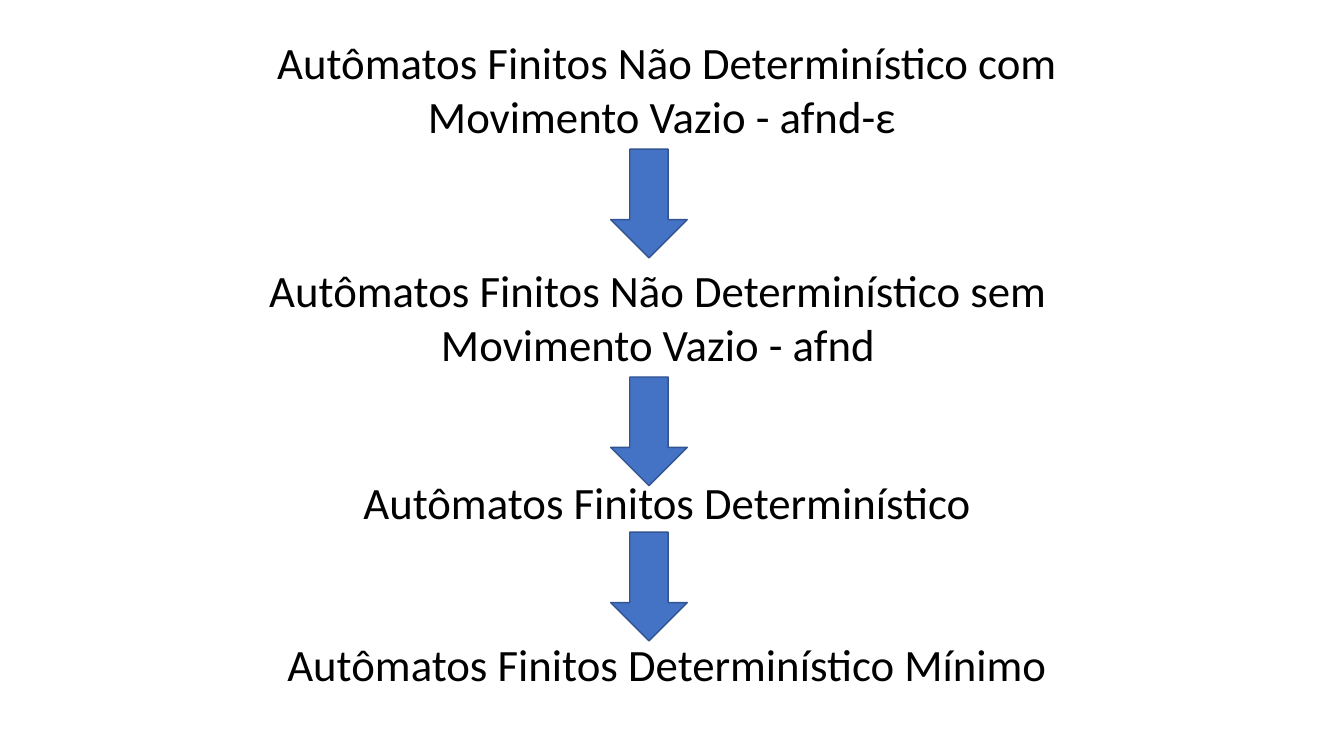
"""Build a slide showing the steps from an afnd-ε to a minimal automaton."""
from pptx import Presentation
from pptx.dml.color import RGBColor
from pptx.enum.shapes import MSO_SHAPE
from pptx.enum.text import MSO_AUTO_SIZE, PP_ALIGN
from pptx.util import Cm, Pt

DOWN_ARROW = MSO_SHAPE.DOWN_ARROW
CENTER = PP_ALIGN.CENTER
GROW = MSO_AUTO_SIZE.SHAPE_TO_FIT_TEXT

COLORS = {"text": "000000", "arrow": "4472C4", "outline": "325491"}
FONT = {"name": "Calibri", "size": Pt(32)}
FRAME = {"word_wrap": True, "auto_size": GROW}

LABEL_LEFT, LABEL_WIDTH = 6.35, 20.93
ONE_LINE, TWO_LINES = 1.63, 2.99
ARROW_LEFT, ARROW_WIDTH, ARROW_HEIGHT = 15.39, 1.93, 2.74

STAGES = [
    ("Autômatos Finitos Não Determinístico com Movimento Vazio - afnd-ε ",
     LABEL_LEFT, 0.76, TWO_LINES),
    ("Autômatos Finitos Não Determinístico sem Movimento Vazio - afnd",
     6.12, 6.5, TWO_LINES),
    ("Autômatos Finitos Determinístico", LABEL_LEFT, 11.84, ONE_LINE),
    ("Autômatos Finitos Determinístico Mínimo", LABEL_LEFT, 15.93, ONE_LINE),
]
ARROW_TOPS = [3.76, 9.5, 13.41]


def apply_format(target, values):
    for name, value in values.items():
        setattr(target, name, value)


class SlideBuilder:
    def __init__(self, slide):
        self.slide = slide
        self.colors = {name: RGBColor.from_string(value)
                       for name, value in COLORS.items()}

    def add_label(self, text, left, top, height):
        shape = self.slide.shapes.add_textbox(
            Cm(left), Cm(top), Cm(LABEL_WIDTH), Cm(height))
        apply_format(shape.text_frame, FRAME)
        paragraph = shape.text_frame.paragraphs[0]
        paragraph.alignment = CENTER
        run = paragraph.add_run()
        run.text = text
        apply_format(run.font, FONT)
        run.font.color.rgb = self.colors["text"]

    def add_arrow(self, top):
        shape = self.slide.shapes.add_shape(
            DOWN_ARROW, Cm(ARROW_LEFT), Cm(top), Cm(ARROW_WIDTH), Cm(ARROW_HEIGHT))
        shape.shadow.inherit = False
        shape.fill.solid()
        shape.fill.fore_color.rgb = self.colors["arrow"]
        shape.line.color.rgb = self.colors["outline"]
        shape.line.width = Pt(1)


presentation = Presentation()
apply_format(presentation, {"slide_width": Cm(33.87), "slide_height": Cm(19.05)})
blank_layout = presentation.slide_layouts[6]
builder = SlideBuilder(presentation.slides.add_slide(blank_layout))

for stage in STAGES:
    builder.add_label(*stage)
for arrow_top in ARROW_TOPS:
    builder.add_arrow(arrow_top)

presentation.save("out.pptx")
